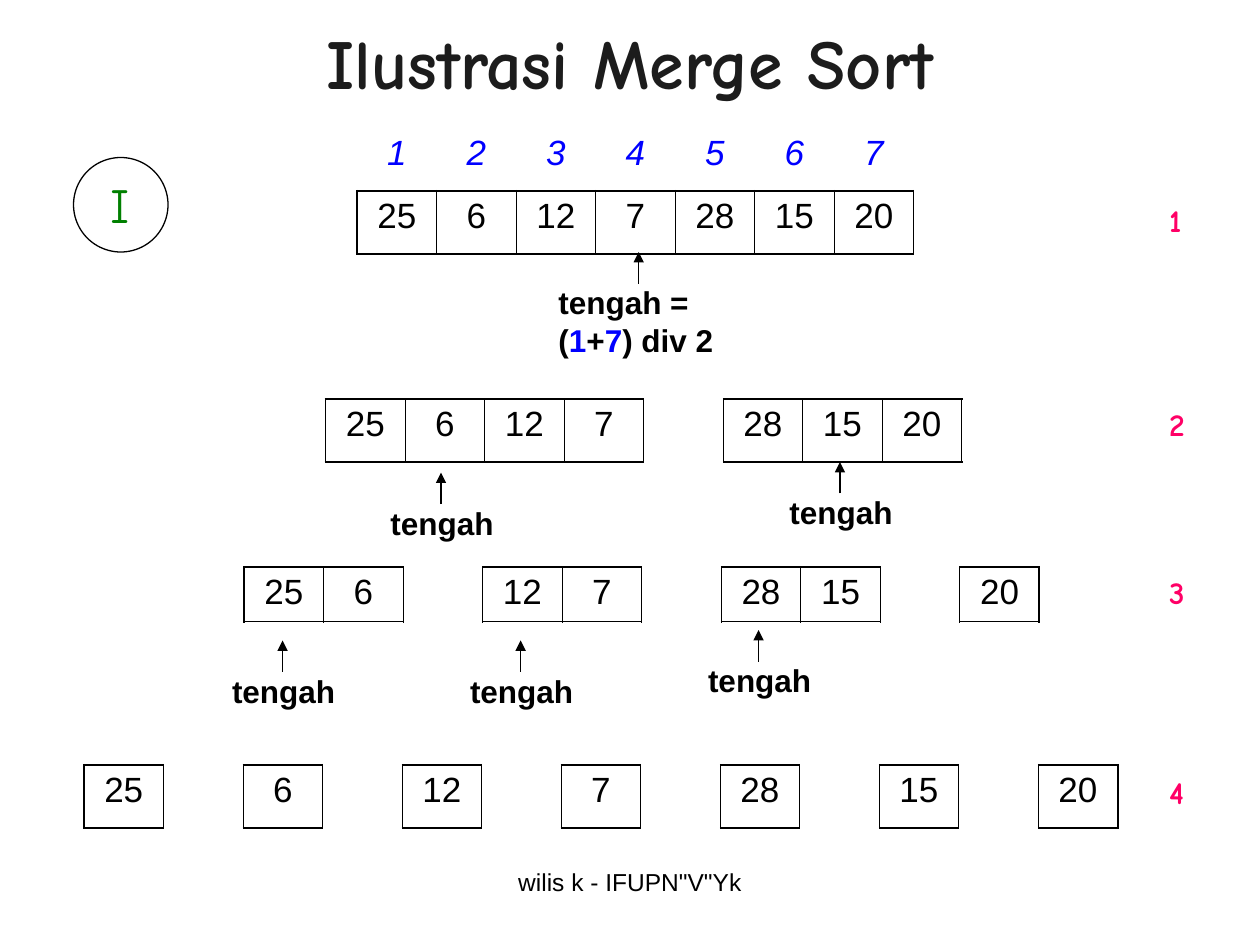
import pptx
import pptx.dml.color
import pptx.enum.shapes
import pptx.enum.text
import pptx.oxml
import pptx.oxml.ns
import pptx.util

Pt = pptx.util.Pt
ALIGN = pptx.enum.text.PP_ALIGN
ANCHOR = pptx.enum.text.MSO_ANCHOR
AUTO = pptx.enum.text.MSO_AUTO_SIZE
SHAPE = pptx.enum.shapes.MSO_SHAPE
LINE = pptx.enum.shapes.MSO_CONNECTOR

# Content
TITLE = "Ilustrasi Merge Sort"
FOOTER = 'wilis k - IFUPN"V"Yk'
PHASE = "I"
INDEXES = [1, 2, 3, 4, 5, 6, 7]
STEPS = [  # parts of the list, table left, table top, row height, label top
    ([[25, 6, 12, 7, 28, 15, 20]], 204, 73, 36, 111.5),
    ([[25, 6, 12, 7], [28, 15, 20]], 186, 228, 36, 228),
    ([[25, 6], [12, 7], [28, 15], [20]], 139.5, 324, 31, 324),
    ([[25], [6], [12], [7], [28], [15], [20]], 48, 437, 36, 438),
]
FORMULA = [("tengah = (", "black"), ("1", "blue"), ("+", "black"),
           ("7", "blue"), (") div 2", "black")]
MIDDLE = [("tengah", "black")]
POINTERS = [  # arrow tip x and y, label runs, label offset and width, wrap
    (365, 144, FORMULA, 53, 108, True),
    (252, 270, MIDDLE, 36, 73.5, False),
    (480, 264, MIDDLE, 36, 73.5, False),
    (161.5, 366, MIDDLE, 36, 73.5, False),
    (433.5, 360, MIDDLE, 36, 73.5, False),
    (297.5, 366, MIDDLE, 36, 73.5, False),
]

# Formats
COLORS = {"black": "000000", "blue": "0000FF", "green": "008000",
          "pink": "FF0066", "title": "1C1C1C"}
TITLE_FONT = {"name": "Comic Neue", "size": Pt(40), "bold": True}
PHASE_FONT = {"name": "Comic Neue", "size": Pt(28)}
STEP_FONT = {"name": "Comic Neue", "size": Pt(18), "bold": True}
LABEL_FONT = {"name": "Arial", "size": Pt(18), "bold": True}
VALUE_FONT = {"name": "Arial", "size": Pt(20)}
INDEX_FONT = {**VALUE_FONT, "italic": True}
FOOTER_FONT = {"name": "Arial", "size": Pt(14)}
COL_W = 45.45
THICK, THIN = 1.08, 0.45
NO_GRID_STYLE = "{2D5ABB26-0587-4C30-8999-92F81FD0307C}"


def rgb(color):
    return pptx.dml.color.RGBColor.from_string(COLORS[color])


def write(tf, runs, font, align=ALIGN.LEFT):
    p = tf.paragraphs[0]
    p.alignment = align
    for text, color in runs:
        r = p.add_run()
        r.text = text
        for key, value in font.items():
            setattr(r.font, key, value)
        r.font.color.rgb = rgb(color)


def add_text(shapes, box, runs, font, align=ALIGN.LEFT, wrap=False):
    tf = shapes.add_textbox(*map(Pt, box)).text_frame
    tf.word_wrap = wrap
    tf.auto_size = AUTO.SHAPE_TO_FIT_TEXT
    write(tf, runs, font, align)


def add_pointer(shapes, x, y, runs, offset, width, wrap):
    group = shapes.add_group_shape().shapes
    height = 50.5 if wrap else 29
    add_text(group, (x - offset, y + 14.4, width, height), runs, LABEL_FONT, wrap=wrap)
    arrow = group.add_connector(LINE.STRAIGHT, Pt(x), Pt(y + 18), Pt(x), Pt(y))
    arrow.line.color.rgb = rgb("black")
    arrow.line.width = Pt(0.75)
    ln = arrow.line._get_or_add_ln()
    ln.append(pptx.oxml.parse_xml(
        f'<a:tailEnd {pptx.oxml.ns.nsdecls("a")} type="triangle"/>'))
    arrow._element.spPr.append(pptx.oxml.parse_xml(
        f'<a:effectLst {pptx.oxml.ns.nsdecls("a")}/>'))


def set_borders(cell, widths):
    tc_pr = cell._tc.get_or_add_tcPr()
    for side in "LRTB":
        if side in widths:
            fill = f'<a:solidFill><a:srgbClr val="{COLORS["black"]}"/></a:solidFill>'
        else:
            fill = "<a:noFill/>"
        tc_pr.append(pptx.oxml.parse_xml(
            f'<a:ln{side} {pptx.oxml.ns.nsdecls("a")} '
            f'w="{int(Pt(widths.get(side, 0)))}">{fill}</a:ln{side}>'))


def add_array(shapes, parts, left, top, row_h, header=None):
    # One empty column separates neighbouring parts
    values = list(parts[0])
    for part in parts[1:]:
        values += [None] + part
    rows = [header, values] if header else [values]
    last = len(values) - 1
    table = shapes.add_table(len(rows), len(values), Pt(left), Pt(top),
                             Pt(COL_W * len(values)), Pt(row_h * len(rows))).table
    table.first_row = table.horz_banding = False
    table._tbl.tblPr.find(pptx.oxml.ns.qn("a:tableStyleId")).text = NO_GRID_STYLE
    for column in table.columns:
        column.width = Pt(COL_W)
    for i, row in enumerate(rows):
        table.rows[i].height = Pt(row_h)
        for j, value in enumerate(row):
            cell = table.cell(i, j)
            if row is header:
                borders, font, color = {"B": THICK}, INDEX_FONT, "blue"
            else:
                borders = {"L": THIN if j else THICK, "R": THIN if j < last else THICK}
                if value is not None:
                    borders.update(T=THICK, B=THICK)
                font, color = VALUE_FONT, "black"
            set_borders(cell, borders)
            cell.fill.background()
            if value is not None:
                write(cell.text_frame, [(str(value), color)], font, ALIGN.CENTER)


prs = pptx.Presentation()
prs.slide_width, prs.slide_height = Pt(720), Pt(540)
s = prs.slides.add_slide(prs.slide_layouts[5])

# Title and footer
title = s.shapes.title
title.left, title.top, title.width, title.height = map(Pt, (36, 21.5, 648, 27))
tf = title.text_frame
tf.auto_size = AUTO.NONE
tf.vertical_anchor = ANCHOR.MIDDLE
write(tf, [(TITLE, "title")], TITLE_FONT, ALIGN.CENTER)
add_text(s.shapes, (246, 492, 228, 37.5), [(FOOTER, "black")], FOOTER_FONT,
         ALIGN.CENTER, wrap=True)

# Arrays and step numbers
for number, (parts, left, top, row_h, label_top) in enumerate(STEPS, 1):
    add_array(s.shapes, parts, left, top, row_h, INDEXES if number == 1 else None)
    add_text(s.shapes, (661, label_top, 22.5, 29), [(str(number), "pink")], STEP_FONT)

# Arrows to the middle elements
for pointer in POINTERS:
    add_pointer(s.shapes, *pointer)

# Circled phase number
group = s.shapes.add_group_shape().shapes
add_text(group, (56, 96, 25, 41), [(PHASE, "green")], PHASE_FONT)
circle = group.add_shape(SHAPE.OVAL, Pt(42), Pt(90), Pt(54), Pt(54))
circle.shadow.inherit = False
circle.fill.background()
circle.line.color.rgb = rgb("black")
circle.line.width = Pt(0.75)

prs.save("out.pptx")
